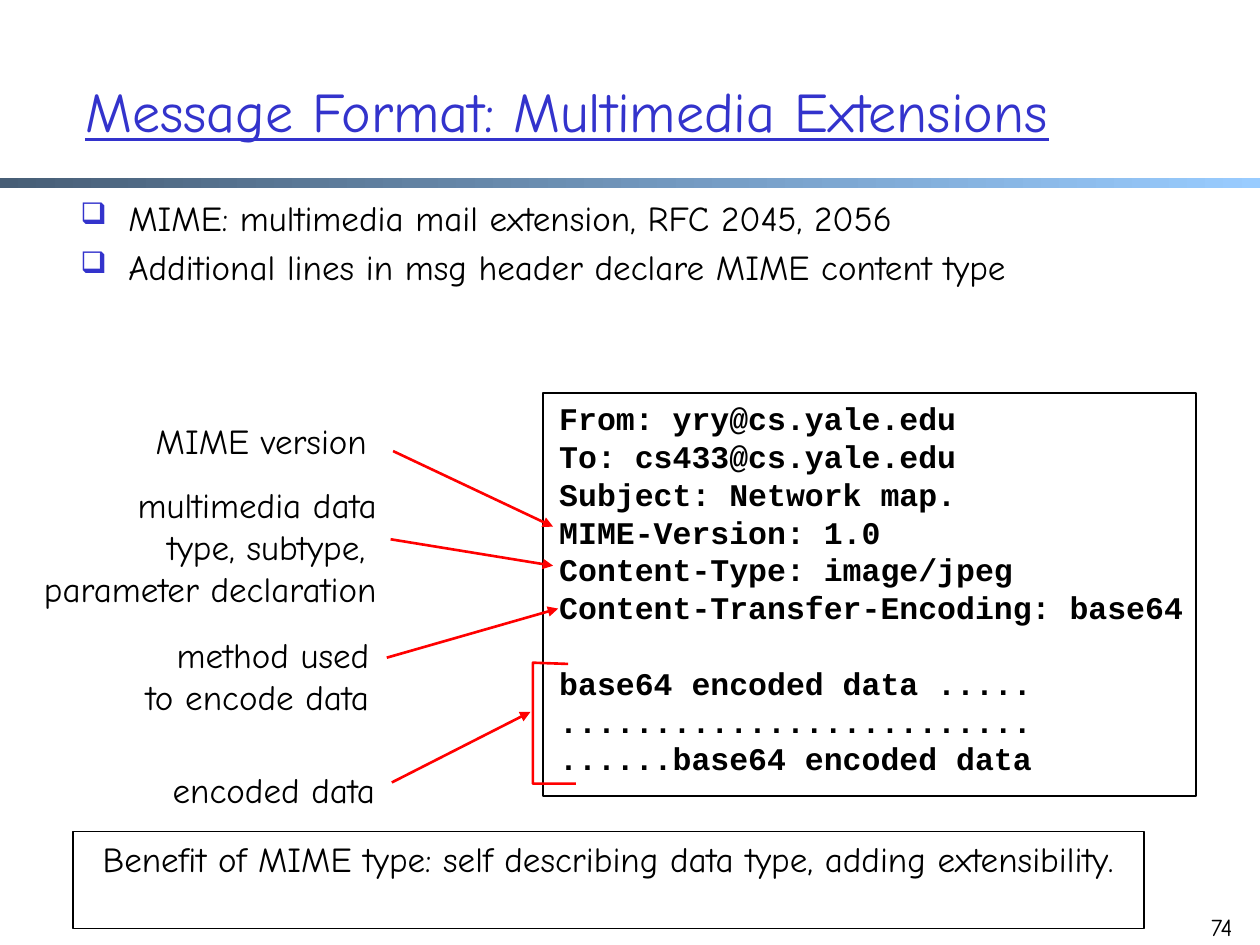
from typing import NamedTuple

from lxml import etree
from pptx import Presentation
from pptx.dml.color import RGBColor
from pptx.enum.shapes import MSO_CONNECTOR, MSO_SHAPE
from pptx.enum.text import MSO_ANCHOR, PP_ALIGN
from pptx.oxml.ns import qn
from pptx.util import Inches, Pt

LEFT, CENTER, RIGHT = PP_ALIGN.LEFT, PP_ALIGN.CENTER, PP_ALIGN.RIGHT
TOP, MIDDLE = MSO_ANCHOR.TOP, MSO_ANCHOR.MIDDLE
RECT, STRAIGHT = MSO_SHAPE.RECTANGLE, MSO_CONNECTOR.STRAIGHT

COLORS = {"ink": "000000", "accent": "3333CC", "pointer": "FF0000",
          "bar_dark": "475E76", "bar_light": "99CCFF"}
HAND, MONO = "Comic Neue", "Courier New"
BODY = {"name": HAND, "size": Pt(20)}
TITLE = {"name": HAND, "size": Pt(32), "underline": True}
CODE = {"name": MONO, "size": Pt(18), "bold": True}
NUMBER = {"name": HAND, "size": Pt(14)}


class Box(NamedTuple):
    x: float
    y: float
    w: float
    h: float


class Label(NamedTuple):
    box: Box
    lines: list[str]
    align: PP_ALIGN


class Arrow(NamedTuple):
    x1: float
    y1: float
    x2: float
    y2: float


LABELS = [
    Label(Box(0, 3.79, 3.09, 1.1),
          ["multimedia data", "type, subtype, ", "parameter declaration"], RIGHT),
    Label(Box(0.91, 4.98, 2.12, 0.77), ["method used", "to encode data"], RIGHT),
    Label(Box(1.06, 3.28, 2.03, 0.43), ["MIME version"], CENTER),
    Label(Box(1.21, 6.05, 1.93, 0.43), ["encoded data"], CENTER),
]
ARROWS = [
    Arrow(3.12, 3.58, 4.39, 4.18),
    Arrow(3.1, 4.28, 4.39, 4.49),
    Arrow(3.07, 5.22, 4.43, 4.83),
    Arrow(3.11, 6.21, 4.21, 5.65),
]
BRACKET = [(4.51, 5.27), (4.23, 5.26), (4.23, 6.22), (4.57, 6.22)]
HEADER = [
    "From: yry@cs.yale.edu",
    "To: cs433@cs.yale.edu",
    "Subject: Network map.",
    "MIME-Version: 1.0",
    "Content-Type: image/jpeg",
    "Content-Transfer-Encoding: base64",
]
CONTENT = [
    "base64 encoded data .....",
    ".........................",
    "......base64 encoded data",
]


def rgb(key: str) -> RGBColor:
    return RGBColor.from_string(COLORS[key])


def emu(values) -> list[int]:
    return [Inches(v) for v in values]


def write(tf, lines: list[str], style: dict, color: str = "ink",
          align: PP_ALIGN = LEFT) -> list:
    """Fill a text frame, one paragraph a line, and return the paragraphs."""
    for i, line in enumerate(lines):
        p = tf.paragraphs[0] if i == 0 else tf.add_paragraph()
        p.alignment = align
        r = p.add_run()
        r.text = line
        r.font.color.rgb = rgb(color)
        for name, value in style.items():
            setattr(r.font, name, value)
    return list(tf.paragraphs)


def add_text(s, box: Box, lines: list[str], style: dict, color: str = "ink",
             align: PP_ALIGN = LEFT, anchor: MSO_ANCHOR = TOP,
             wrap: bool = True) -> list:
    tf = s.shapes.add_textbox(*emu(box)).text_frame
    tf.word_wrap = wrap
    tf.vertical_anchor = anchor
    return write(tf, lines, style, color, align)


def add_bullet(p) -> None:
    pPr = p._p.get_or_add_pPr()
    pPr.set("marL", str(Inches(0.38)))
    pPr.set("indent", str(-Inches(0.38)))
    clr = etree.SubElement(pPr, qn("a:buClr"))
    etree.SubElement(clr, qn("a:srgbClr"), val=COLORS["accent"])
    etree.SubElement(pPr, qn("a:buSzPct"), val="85000")
    etree.SubElement(pPr, qn("a:buChar"), char="❑")


def set_line(sp, color: str, width: float) -> None:
    sp.line.color.rgb = rgb(color)
    sp.line.width = Pt(width)


def add_frame(s, box: Box, width: float):
    """Unfilled rectangle with a black outline."""
    sp = s.shapes.add_shape(RECT, *emu(box))
    sp.shadow.inherit = False
    sp.fill.background()
    set_line(sp, "ink", width)
    return sp


def add_arrow(s, arrow: Arrow) -> None:
    c = s.shapes.add_connector(STRAIGHT, *emu(arrow))
    set_line(c, "pointer", 1.5)
    etree.SubElement(c.line._get_or_add_ln(), qn("a:tailEnd"), type="triangle")
    etree.SubElement(c._element.spPr, qn("a:effectLst"))


def add_bracket(s, points: list[tuple[float, float]]) -> None:
    start, *rest = [tuple(emu(pt)) for pt in points]
    fb = s.shapes.build_freeform(*start)
    fb.add_line_segments(rest, close=False)
    sp = fb.convert_to_shape()
    sp.shadow.inherit = False
    sp.fill.background()
    set_line(sp, "pointer", 1.5)


def add_bar(s, box: Box) -> None:
    """Gradient rule under the title."""
    sp = s.shapes.add_shape(RECT, *emu(box))
    sp.shadow.inherit = False
    sp.line.fill.background()
    sp.fill.gradient()
    sp.fill.gradient_angle = 0
    for stop, key in zip(sp.fill.gradient_stops, ("bar_dark", "bar_light")):
        stop.color.rgb = rgb(key)


def main() -> None:
    prs = Presentation()
    prs.slide_width, prs.slide_height = Inches(10), Inches(7.5)
    s = prs.slides.add_slide(prs.slide_layouts[6])

    # Title, rule and slide number
    add_bar(s, Box(0, 1.41, 10, 0.08))
    add_text(s, Box(9.38, 7.19, 0.5, 0.5), ["74"], NUMBER, align=RIGHT)
    add_text(s, Box(0.58, 0.25, 9.17, 1.25),
             ["Message Format: Multimedia Extensions"], TITLE, "accent", anchor=MIDDLE)

    # Bullets
    bullets = add_text(s, Box(0.54, 1.51, 9.18, 5.08),
                       ["MIME: multimedia mail extension, RFC 2045, 2056",
                        "Additional lines in msg header declare MIME content type"], BODY)
    bullets[1].space_before = Pt(4)
    for p in bullets:
        add_bullet(p)

    # Mail message, its content set one line below the header
    mail = add_text(s, Box(4.34, 3.12, 5.44, 3.4), HEADER + CONTENT, CODE)
    mail[len(HEADER)].space_before = Pt(21.6)
    add_frame(s, Box(4.31, 3.12, 5.18, 3.2), 1)

    # Labels and pointers
    for label in LABELS:
        add_text(s, label.box, label.lines, BODY, align=label.align, wrap=False)
    for arrow in ARROWS:
        add_arrow(s, arrow)
    add_bracket(s, BRACKET)

    # Benefit
    tf = add_frame(s, Box(0.58, 6.6, 8.5, 0.77), 0.75).text_frame
    tf.word_wrap = True
    tf.vertical_anchor = TOP
    write(tf, ["Benefit of MIME type: self describing data type, adding extensibility."],
          BODY, align=CENTER)

    prs.save("out.pptx")


if __name__ == "__main__":
    main()
